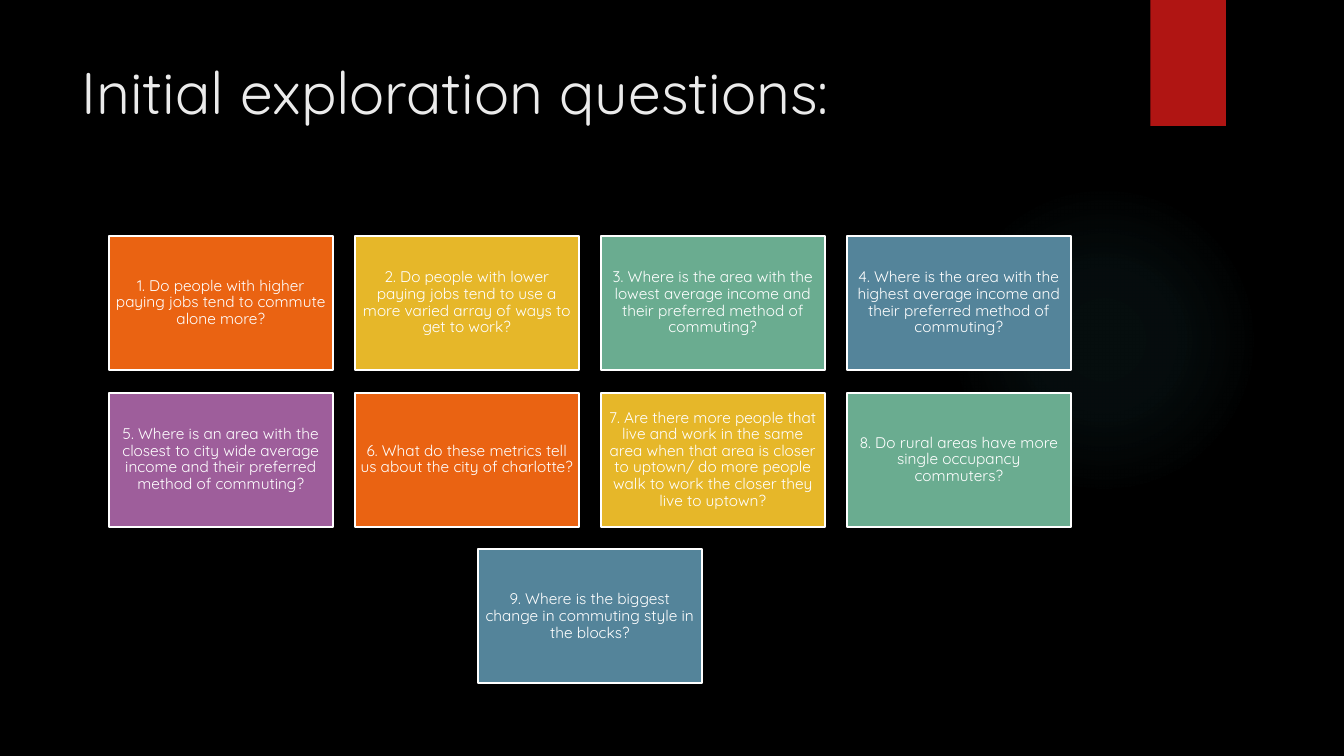
import pptx
import pptx.dml.color
import pptx.enum.shapes
import pptx.enum.text
import pptx.oxml
import pptx.oxml.ns
import pptx.util
from pptx.util import Inches, Pt

FONT = "Quicksand"
CARD_COLORS = ["EA6312", "E6B729", "6AAC90", "54849A", "9E5E9B"]
QUESTIONS = [
    "1. Do people with higher paying jobs tend to commute alone more?",
    "2. Do people with lower paying jobs tend to use a more varied array of ways to get to work?",
    "3. Where is the area with the lowest average income and their preferred method of commuting?",
    "4. Where is the area with the highest average income and their preferred method of commuting?",
    "5. Where is an area with the closest to city wide average income and their preferred method of commuting?",
    "6. What do these metrics tell us about the city of charlotte?",
    "7. Are there more people that live and work in the same area when that area is closer to uptown/ "
    "do more people walk to work the closer they live to uptown?",
    "8. Do rural areas have more single occupancy commuters?",
    "9. Where is the biggest change in commuting style in the blocks?",
]
COLUMNS = 4
CARD_W, CARD_H = 2.22, 1.33


def rgb(value):
    return pptx.dml.color.RGBColor.from_string(value)


def add_block(s, kind, box, color):
    """Add a borderless, shadowless shape; box is left, top, width, height in inches."""
    sp = s.shapes.add_shape(kind, *map(Inches, box))
    sp.shadow.inherit = False
    sp.fill.solid()
    sp.fill.fore_color.rgb = rgb(color)
    sp.line.fill.background()
    return sp


def format_text(tf, size, color, align, anchor, inset):
    tf.word_wrap = True
    tf.auto_size = pptx.enum.text.MSO_AUTO_SIZE.NONE
    tf.vertical_anchor = anchor
    tf.margin_left = tf.margin_right = Inches(inset)
    tf.margin_top = tf.margin_bottom = Inches(0.05)
    p = tf.paragraphs[0]
    p.alignment = align
    r = p.runs[0]
    r.font.name = FONT
    r.font.size = Pt(size)
    r.font.color.rgb = rgb(color)


def add_glow(s, box):
    """Add a circle whose faint teal fades out towards its edge."""
    sp = add_block(s, pptx.enum.shapes.MSO_SHAPE.OVAL, box, "50B9C1")
    stops = "".join(
        f'<a:gs pos="{pos * 1000}"><a:srgbClr val="50B9C1"><a:alpha val="{alpha * 1000}"/></a:srgbClr></a:gs>'
        for pos, alpha in [(0, 7), (36, 6), (69, 0)]
    )
    gradient = pptx.oxml.parse_xml(
        f'<a:gradFill {pptx.oxml.ns.nsdecls("a")} rotWithShape="1"><a:gsLst>{stops}</a:gsLst>'
        '<a:path path="circle"><a:fillToRect l="50000" t="50000" r="50000" b="50000"/></a:path></a:gradFill>'
    )
    solid = sp.fill._xPr.find(pptx.oxml.ns.qn("a:solidFill"))
    solid.getparent().replace(solid, gradient)


def add_title(s, box, text):
    title = s.shapes.title
    title.left, title.top, title.width, title.height = map(Inches, box)
    title.text_frame.text = text
    format_text(title.text_frame, 42, "EBEBEB", pptx.enum.text.PP_ALIGN.LEFT,
                pptx.enum.text.MSO_ANCHOR.TOP, 0.1)


def add_card(s, box, text, color):
    sp = add_block(s, pptx.enum.shapes.MSO_SHAPE.RECTANGLE, box, color)
    sp.line.color.rgb = rgb("FFFFFF")
    sp.line.width = Pt(1.5)
    tf = sp.text_frame
    tf.text = text
    format_text(tf, 11, "FFFFFF", pptx.enum.text.PP_ALIGN.CENTER,
                pptx.enum.text.MSO_ANCHOR.MIDDLE, 0.05)
    tf.paragraphs[0].line_spacing = 0.9


def add_question_grid(s, box):
    """Spread the cards over the box, each row centred, colours in turn."""
    left, top, width, height = box
    rows = [QUESTIONS[i:i + COLUMNS] for i in range(0, len(QUESTIONS), COLUMNS)]
    step_x = (width - CARD_W) / (COLUMNS - 1)
    step_y = (height - CARD_H) / (len(rows) - 1)
    for i, row in enumerate(rows):
        row_left = left + (COLUMNS - len(row)) * step_x / 2
        for j, question in enumerate(row):
            color = CARD_COLORS[(i * COLUMNS + j) % len(CARD_COLORS)]
            add_card(s, (row_left + j * step_x, top + i * step_y, CARD_W, CARD_H), question, color)


def main():
    prs = pptx.Presentation()
    prs.slide_width, prs.slide_height = Inches(13.33), Inches(7.5)
    s = prs.slides.add_slide(prs.slide_layouts[5])
    s.background.fill.solid()
    s.background.fill.fore_color.rgb = rgb("000000")
    add_glow(s, (9.41, 1.83, 3.08, 3.08))
    add_block(s, pptx.enum.shapes.MSO_SHAPE.RECTANGLE, (11.41, 0, 0.75, 1.25), "B01513")
    add_title(s, (0.71, 0.5, 10.29, 1.53), "Initial exploration questions:")
    add_question_grid(s, (1.08, 2.34, 9.54, 4.44))
    prs.save("out.pptx")


if __name__ == "__main__":
    main()
